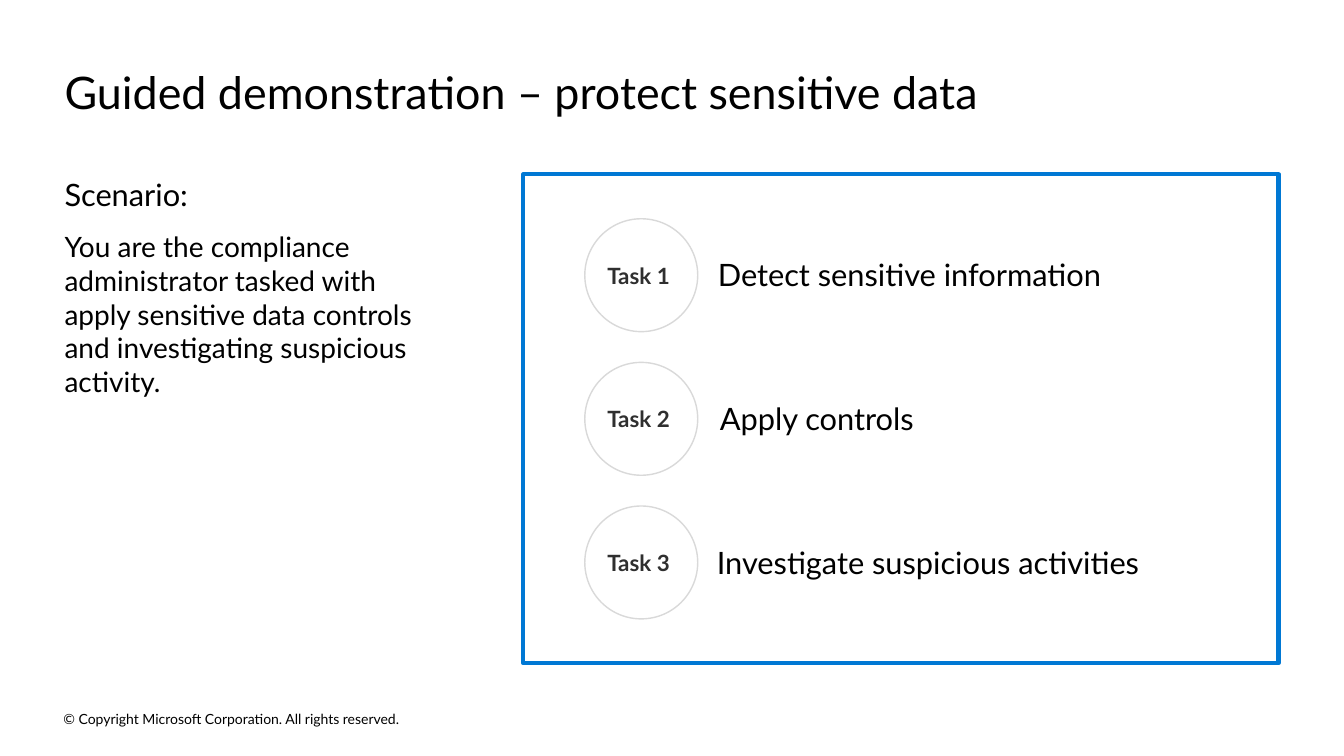
from dataclasses import dataclass

from pptx import Presentation
from pptx.dml.color import RGBColor
from pptx.enum.shapes import MSO_SHAPE as Kind
from pptx.enum.text import MSO_ANCHOR as Anchor, MSO_AUTO_SIZE as Fit, PP_ALIGN as Align
from pptx.shapes.autoshape import Shape
from pptx.slide import Slide
from pptx.util import Inches, Pt

BLACK = RGBColor(0x00, 0x00, 0x00)
WHITE = RGBColor(0xFF, 0xFF, 0xFF)
BLUE = RGBColor(0x00, 0x78, 0xD4)
GREY = RGBColor(0xD9, 0xD9, 0xD9)
DARK = RGBColor(0x2F, 0x2F, 0x2F)
FONT = "Lato"
LEFT = 0.64
DISC = 1.12
FIRST = 2.17
STEP = 1.425


@dataclass(frozen=True)
class Box:
    left: float
    top: float
    width: float
    height: float


@dataclass(frozen=True)
class Task:
    label: str
    text: str
    left: float
    width: float


TASKS = [
    Task("Task 1", "Detect sensitive information", 7.12, 3.81),
    Task("Task 2", "Apply controls", 7.14, 1.96),
    Task("Task 3", "Investigate suspicious activities", 7.11, 4.22),
]


def place(shape: Shape, box: Box) -> None:
    shape.left, shape.top = Inches(box.left), Inches(box.top)
    shape.width, shape.height = Inches(box.width), Inches(box.height)


def write(shape: Shape, text: str, size: int, color: RGBColor = BLACK,
          bold: bool = False, inset: float = 0, anchor: Anchor = Anchor.TOP) -> None:
    frame = shape.text_frame
    frame.auto_size = Fit.NONE
    frame.word_wrap = True
    frame.vertical_anchor = anchor
    frame.margin_left = frame.margin_right = Inches(inset)
    frame.margin_top = frame.margin_bottom = Inches(inset)
    para = frame.paragraphs[0]
    para.alignment = Align.LEFT
    para.space_before = Pt(0)
    run = para.add_run()
    run.text = text
    font = run.font
    font.name, font.size, font.bold = FONT, Pt(size), bold
    font.color.rgb = color


def label(slide: Slide, box: Box, text: str, size: int, anchor: Anchor = Anchor.TOP) -> None:
    shape = slide.shapes.add_textbox(0, 0, 0, 0)
    place(shape, box)
    write(shape, text, size, anchor=anchor)


def draw(slide: Slide, kind: Kind, box: Box, line: RGBColor, width: int) -> Shape:
    shape = slide.shapes.add_shape(kind, 0, 0, 0, 0)
    place(shape, box)
    shape.shadow.inherit = False
    shape.line.color.rgb = line
    shape.line.width = Pt(width)
    return shape


def step(slide: Slide, task: Task, top: float) -> None:
    disc = draw(slide, Kind.OVAL, Box(5.8, top, DISC, DISC), GREY, 1)
    disc.fill.solid()
    disc.fill.fore_color.rgb = WHITE
    write(disc, task.label, 16, DARK, bold=True, inset=0.06, anchor=Anchor.MIDDLE)
    label(slide, Box(task.left, top + 0.37, task.width, 0.37), task.text, 22)


def main() -> None:
    deck = Presentation()
    deck.slide_width, deck.slide_height = Inches(13.33), Inches(7.5)
    slide = deck.slides.add_slide(deck.slide_layouts.get_by_name("Comparison"))
    title, head, left, body, right = slide.placeholders
    for spare in (left, right):
        spare.element.getparent().remove(spare.element)

    place(title, Box(LEFT, 0.64, 12.08, 0.54))
    write(title, "Guided demonstration – protect sensitive data", 32)
    place(head, Box(LEFT, 1.74, 3.47, 0.37))
    write(head, "Scenario:", 22)
    place(body, Box(LEFT, 2.28, 3.47, 1.68))
    write(body, "You are the compliance administrator tasked with apply sensitive "
                "data controls and investigating suspicious activity.", 20)

    panel = draw(slide, Kind.RECTANGLE, Box(5.19, 1.73, 7.49, 4.85), BLUE, 3)
    panel.fill.background()
    for row, task in enumerate(TASKS):
        step(slide, task, FIRST + row * STEP)

    label(slide, Box(0.63, 7.02, 4.54, 0.22),
          "© Copyright Microsoft Corporation. All rights reserved.", 10, Anchor.MIDDLE)
    deck.save("out.pptx")


if __name__ == "__main__":
    main()
